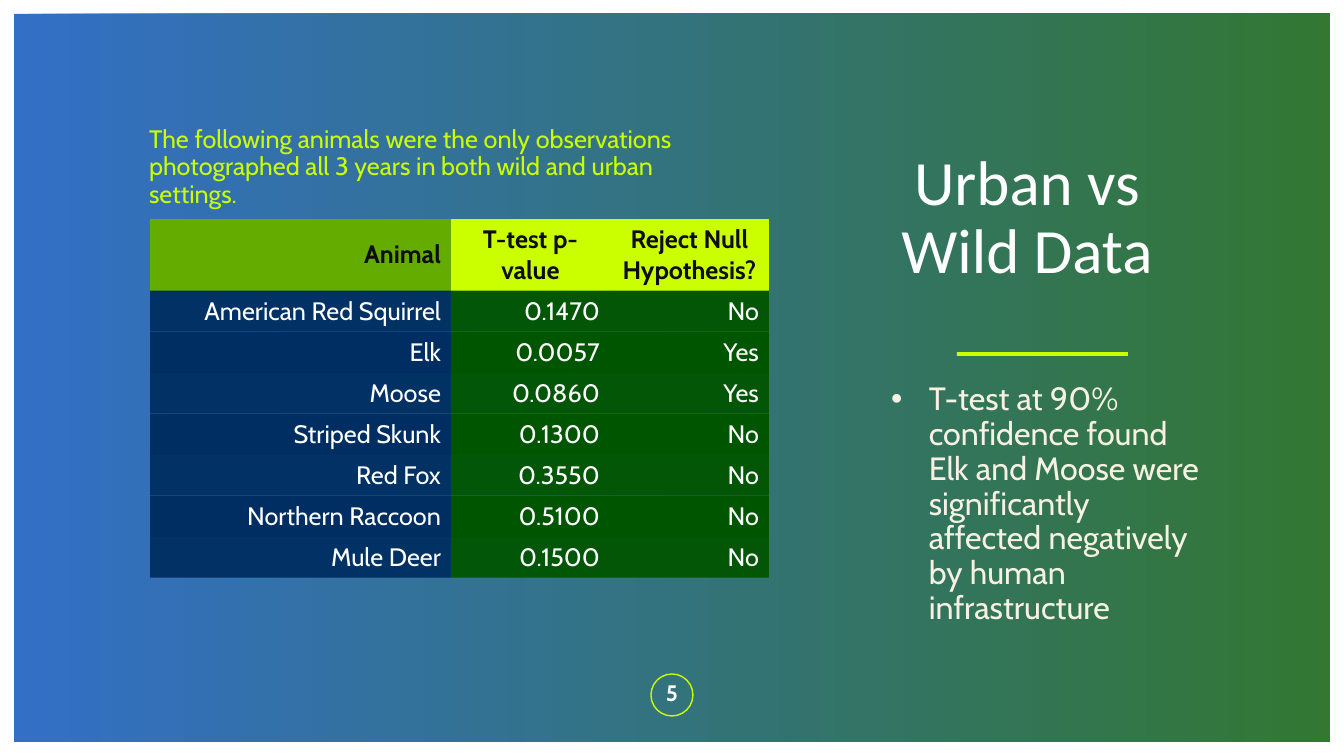
"""Build the Urban vs Wild Data slide with its t-test table."""
from lxml import etree
from pptx import Presentation
from pptx import util as u
from pptx.dml.color import RGBColor
from pptx.enum import shapes, text
from pptx.oxml.ns import qn

TITLE = "Urban vs Wild Data"
FINDING = ("T-test at 90% confidence found Elk and Moose were significantly "
           "affected negatively by human infrastructure")
INTRO = ("The following animals were the only observations photographed "
         "all 3 years in both wild and urban settings.")
PAGE = "5"
HEADER = ("Animal", "T-test p-value", "Reject Null Hypothesis?")
RESULTS = [
    ("American Red Squirrel", "0.1470", "No"),
    ("Elk", "0.0057", "Yes"),
    ("Moose", "0.0860", "Yes"),
    ("Striped Skunk", "0.1300", "No"),
    ("Red Fox", "0.3550", "No"),
    ("Northern Raccoon", "0.5100", "No"),
    ("Mule Deer", "0.1500", "No"),
]
COLORS = {
    "blue": "004CB9", "green": "005500", "navy": "002E62", "lime": "CBFF00",
    "leaf": "64AC00", "ink": "0D0D0D", "white": "FFFFFF", "cream": "F7F1E4",
}
COLUMN_WIDTHS = (301, 159, 159)
HEADER_HEIGHT, ROW_HEIGHT = 71, 41
NO_GRID_STYLE = "{2D5ABB26-0587-4C30-8999-92F81FD0307C}"
LEFT, CENTER, RIGHT = text.PP_ALIGN.LEFT, text.PP_ALIGN.CENTER, text.PP_ALIGN.RIGHT
TOP, MIDDLE = text.MSO_ANCHOR.TOP, text.MSO_ANCHOR.MIDDLE


def px(length):
    return u.Emu(round(length * 914400 / 100.8))


def rgb(name):
    return RGBColor.from_string(COLORS[name])


def set_opacity(properties, percent):
    for color in properties.iter(qn("a:srgbClr")):
        etree.SubElement(color, qn("a:alpha")).set("val", str(percent * 1000))


def write(frame, words, size, color, align, bold=False, font="Cabin"):
    frame.text = words
    paragraph = frame.paragraphs[0]
    paragraph.alignment = align
    paragraph.font.name = font
    paragraph.font.size = u.Pt(size)
    paragraph.font.bold = bold
    paragraph.font.color.rgb = rgb(color)
    return paragraph


def write_block(block, box, words, size, color, align, anchor, **style):
    block.left, block.top, block.width, block.height = map(px, box)
    frame = block.text_frame
    frame.word_wrap = True
    frame.auto_size = text.MSO_AUTO_SIZE.NONE
    frame.vertical_anchor = anchor
    frame.margin_left = frame.margin_right = 0
    frame.margin_top = frame.margin_bottom = px(5)
    paragraph = write(frame, words, size, color, align, **style)
    paragraph.line_spacing = 0.9
    paragraph.space_before = u.Pt(0)
    return paragraph


def add_plain_shape(slide, kind, box):
    shape = slide.shapes.add_shape(kind, *map(px, box))
    shape.shadow.inherit = False
    shape.line.fill.background()
    return shape


def add_results(slide):
    height = HEADER_HEIGHT + ROW_HEIGHT * len(RESULTS)
    table = slide.shapes.add_table(
        len(RESULTS) + 1, len(HEADER),
        *map(px, (150, 219, sum(COLUMN_WIDTHS), height))).table
    table._tbl.tblPr.find(qn("a:tableStyleId")).text = NO_GRID_STYLE
    for column, width in zip(table.columns, COLUMN_WIDTHS):
        column.width = px(width)
    for r, values in enumerate([HEADER, *RESULTS]):
        is_header = r == 0
        table.rows[r].height = px(HEADER_HEIGHT if is_header else ROW_HEIGHT)
        first, rest = ("leaf", "lime") if is_header else ("navy", "green")
        for c, value in enumerate(values):
            cell = table.cell(r, c)
            cell.vertical_anchor = MIDDLE
            cell.fill.solid()
            cell.fill.fore_color.rgb = rgb(rest if c else first)
            if r % 2:
                set_opacity(cell._tc.tcPr, 95)
            write(cell.text_frame, value, 18, "ink" if is_header else "white",
                  CENTER if is_header and c else RIGHT, bold=is_header)


def main():
    deck = Presentation()
    deck.slide_width, deck.slide_height = px(1344), px(756)
    slide = deck.slides.add_slide(deck.slide_layouts[1])
    title, finding = slide.placeholders

    panel = add_plain_shape(slide, shapes.MSO_SHAPE.RECTANGLE, (14, 14, 1316, 728))
    panel.fill.gradient()
    panel.fill.gradient_angle = 0
    for stop, name in zip(panel.fill.gradient_stops, ("blue", "green")):
        stop.color.rgb = rgb(name)
    set_opacity(panel.element.spPr, 80)

    page_ring = add_plain_shape(slide, shapes.MSO_SHAPE.OVAL, (651, 674, 42, 42))
    page_ring.fill.background()
    page_ring.line.color.rgb = rgb("lime")
    page_ring.line.width = u.Pt(1)

    divider = add_plain_shape(slide, shapes.MSO_SHAPE.RECTANGLE, (957, 352, 171, 4))
    divider.fill.solid()
    divider.fill.fore_color.rgb = rgb("lime")

    add_results(slide)

    for placeholder in (title, finding):
        placeholder.element.getparent().append(placeholder.element)
    write_block(title, (880, 132, 294, 174), TITLE, 45, "white", CENTER, MIDDLE,
                font="Calibri")
    finding.text_frame.text = FINDING
    finding_format = finding.text_frame.paragraphs[0]._p.get_or_add_pPr()
    finding_format.set("marL", "0")
    finding_format.set("indent", "0")
    etree.SubElement(finding_format, qn("a:buNone"))
    write_block(finding, (891, 378, 315, 248), FINDING, 23, "cream", LEFT, TOP)

    page = slide.shapes.add_textbox(0, 0, 0, 0)
    write_block(page, (642, 674, 60, 41), PAGE, 16, "white", CENTER, MIDDLE, bold=True)
    intro = slide.shapes.add_textbox(0, 0, 0, 0)
    write_block(intro, (149, 122, 560, 117), INTRO, 18, "lime", LEFT, TOP)

    deck.save("out.pptx")


if __name__ == "__main__":
    main()
